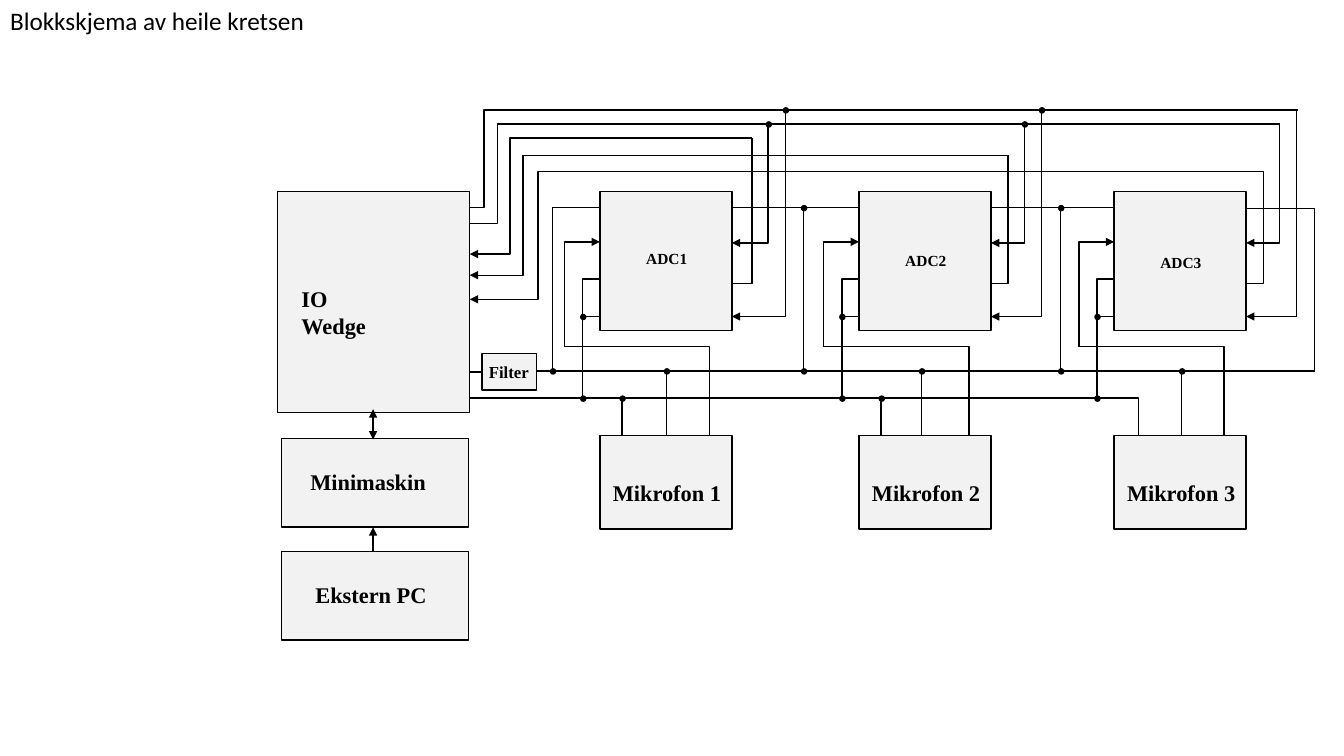
"""Build the block diagram slide of the whole circuit."""
import pptx
import pptx.util
import pptx.dml.color
import pptx.enum.shapes
import pptx.enum.text
import pptx.oxml.ns
import lxml.etree

SCALE = 9144
THEME = {
    "ink": pptx.dml.color.RGBColor(0x00, 0x00, 0x00),
    "box": pptx.dml.color.RGBColor(0xF2, 0xF2, 0xF2),
    "line": pptx.util.Pt(1),
    "title": pptx.util.Pt(18),
    "large": pptx.util.Pt(16),
    "mid": pptx.util.Pt(12),
    "small": pptx.util.Pt(11),
    "sans": "Calibri",
    "serif": "Times New Roman",
}
KINDS = pptx.enum.shapes.MSO_SHAPE
LINKS = pptx.enum.shapes.MSO_CONNECTOR
qn = pptx.oxml.ns.qn

deck = pptx.Presentation()
deck.slide_width = 1333 * SCALE
deck.slide_height = 750 * SCALE
slide = deck.slides.add_slide(deck.slide_layouts[5])


def wire(x1, y1, x2, y2, bend=None, ends=()):
    """Draw a straight wire, or one that turns at the column bend."""
    kind = LINKS.STRAIGHT if bend is None else LINKS.ELBOW
    link = slide.shapes.add_connector(kind, *[n * SCALE for n in (x1, y1, x2, y2)])
    link.line.color.rgb = THEME["ink"]
    link.line.width = THEME["line"]
    props = link._element.spPr
    if bend is not None:
        ratio = round((bend - x1) / (x2 - x1) * 100000)
        guides = props.find(qn("a:prstGeom")).find(qn("a:avLst"))
        lxml.etree.SubElement(guides, qn("a:gd"), name="adj1", fmla=f"val {ratio}")
    for end in ends:
        lxml.etree.SubElement(props.find(qn("a:ln")), qn(f"a:{end}"), type="triangle")
    lxml.etree.SubElement(props, qn("a:effectLst"))


def block(kind, x, y, wide, high, fill):
    """Draw a filled shape with a thin dark outline."""
    shape = slide.shapes.add_shape(kind, *[n * SCALE for n in (x, y, wide, high)])
    shape.shadow.inherit = False
    shape.fill.solid()
    shape.fill.fore_color.rgb = THEME[fill]
    shape.line.color.rgb = THEME["ink"]
    shape.line.width = THEME["line"]


title = slide.shapes.title
title.left, title.top, title.width, title.height = 0, 0, 320 * SCALE, 40 * SCALE
title.text_frame.text = "Blokkskjema av heile kretsen"
title.text_frame.word_wrap = False
title.text_frame.vertical_anchor = pptx.enum.text.MSO_ANCHOR.TOP
head = title.text_frame.paragraphs[0]
head.alignment = pptx.enum.text.PP_ALIGN.LEFT
head.runs[0].font.size = THEME["title"]
head.runs[0].font.name = THEME["sans"]
head.runs[0].font.color.rgb = THEME["ink"]

SELECT, CLOCK, POWER, GROUND, MIC_TOP, EDGE = 109, 123, 368, 395, 432, 466
UNITS = [
    {"left": 595, "power": 548, "mic": 661, "data": 746, "rail": 137, "turn": 506, "port": 252},
    {"left": 852, "power": 797, "mic": 914, "data": 1000, "rail": 154, "turn": 519, "port": 273},
    {"left": 1105, "power": 1052, "mic": 1172, "data": 1253, "rail": 170, "turn": 534, "port": 297},
]
boxes = [(275, 190, 191, 219), (478, 351, 54, 36), (279, 435, 186, 88), (279, 547, 186, 88)]
labels = [
    ("IO Wedge", 289, 278, 111, "large"),
    ("Filter", 475, 354, 75, "mid"),
    ("Minimaskin", 298, 460, 148, "large"),
    ("Ekstern PC", 303, 572, 138, "large"),
]
dots = []

wire(1287, SELECT, EDGE, 206, 480)
wire(1270, CLOCK, EDGE, 222, 493)
wire(EDGE, 369, 478, 369)
wire(532, POWER, 1304, POWER)
wire(1304, POWER, 1236, 207, 1304)
wire(EDGE, GROUND, 1129, MIC_TOP, 1129)

for step, unit in enumerate(UNITS):
    left, power, mic, data = unit["left"], unit["power"], unit["mic"], unit["data"]
    right, feed, ground = left + 131, left - 35, left - 17
    clock, select = data + 16, data + 33
    wire(power, POWER, left, 206, power)
    wire(ground, GROUND, left, 277, ground)
    wire(ground, 314, left, 314)
    wire(feed, 344, left, 240, feed, ["tailEnd"])
    wire(feed, 344, left + 109, MIC_TOP, left + 109)
    wire(mic, POWER, mic, MIC_TOP)
    wire(data, unit["rail"], right, 281, data)
    wire(data, unit["rail"], EDGE, unit["port"], unit["turn"], ["tailEnd"])
    wire(clock, CLOCK, right, 241, clock, ["tailEnd"])
    wire(select, SELECT, right, 314, select, ["tailEnd"])
    dots += [(power, POWER), (mic, POWER), (ground, GROUND), (ground, 314)]
    if step < 2:
        wire(right, 206, UNITS[step + 1]["power"], 206)
        wire(left + 22, GROUND, left + 22, MIC_TOP)
        dots += [(left + 22, GROUND), (select, SELECT), (clock, CLOCK)]
    if step > 0:
        dots.append((power, 206))
    boxes += [(left, 190, 131, 138), (left, MIC_TOP, 131, 93)]
    labels += [
        (f"ADC{step + 1}", left + 36, 242 + 2 * step, 118, "small"),
        (f"Mikrofon {step + 1}", left + 3, 470, 138, "large"),
    ]

for place in boxes:
    block(KINDS.RECTANGLE, *place, "box")
wire(370, 406, 370, 436, ends=["headEnd", "tailEnd"])
wire(370, 547, 370, 523, ends=["tailEnd"])
for x, y in dots:
    block(KINDS.OVAL, x - 2, y - 2, 5, 5, "ink")

for words, x, y, wide, size in labels:
    label = slide.shapes.add_textbox(x * SCALE, y * SCALE, wide * SCALE, 37 * SCALE)
    label.text_frame.word_wrap = True
    label.text_frame.text = words
    font = label.text_frame.paragraphs[0].runs[0].font
    font.size = THEME[size]
    font.name = THEME["serif"]
    font.bold = True
    font.color.rgb = THEME["ink"]

deck.save("out.pptx")
